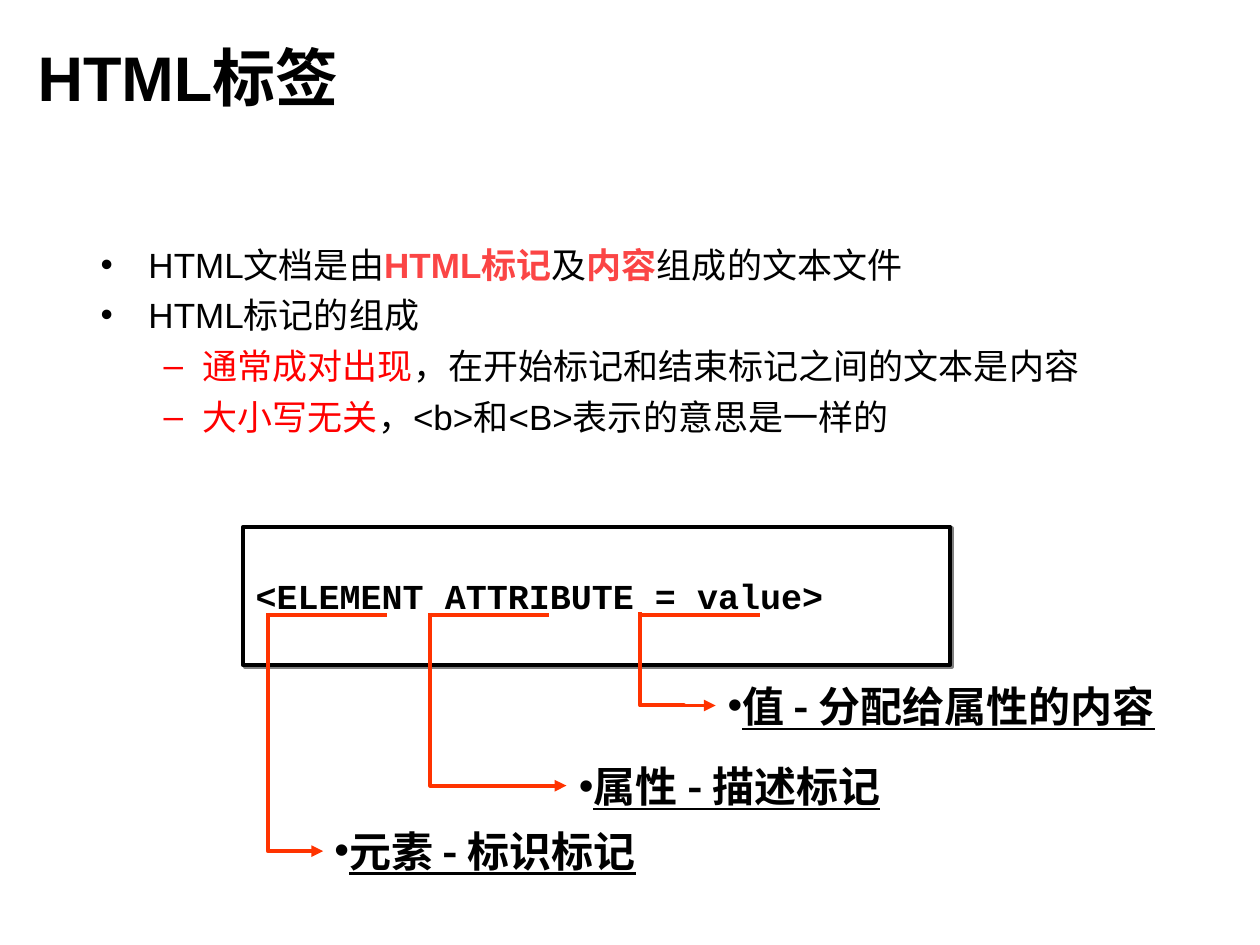
from lxml.etree import SubElement
from pptx import Presentation
from pptx.dml.color import RGBColor as RGB
from pptx.enum.shapes import MSO_CONNECTOR as CONN, MSO_SHAPE as SHAPE
from pptx.enum.text import MSO_ANCHOR as ANCHOR, PP_ALIGN as ALIGN
from pptx.oxml.ns import qn
from pptx.util import Inches, Pt

COLORS = {"black": "000000", "white": "FFFFFF", "red": "FF0000",
          "coral": "FB4545", "orange": "FF3300", "gray": "808080"}
COLS, ROWS = 100, 75
WIDTH, HEIGHT = Inches(10), Inches(7.5)
LINE_WIDTH = Pt(2.25)

TITLE = {"size": Pt(36), "bold": True, "name": "Arial"}
BODY = {"size": Pt(20), "bold": False, "name": "Arial"}
CODE = {"size": Pt(20), "bold": True, "name": "Courier New"}
LABEL = {"size": Pt(24), "bold": True, "underline": True,
         "name": "Noto Sans CJK JP"}

POINTS = [
    (0, [("HTML文档是由", "black"), ("HTML标记", "coral"), ("及", "black"),
         ("内容", "coral"), ("组成的文本文件", "black")]),
    (0, [("HTML标记的组成", "black")]),
    (1, [("通常成对出现", "red"),
         ("，在开始标记和结束标记之间的文本是内容", "black")]),
    (1, [("大小写无关", "red"), ("，<b>和<B>表示的意思是一样的", "black")]),
]
LEVELS = [("•", "black", 0.38, -0.38), ("–", "red", 0.81, -0.31)]

LABELS = [
    ("元素 - 标识标记", 24.7, 65, 27.6),
    ("属性 - 描述标记", 44.1, 59.9, 27.6),
    ("值 - 分配给属性的内容", 55.9, 53.5, 37.6),
]
UNDERLINES = [21.2, 34.1, 50.8]
ELBOWS = [
    (14, 55.9, 18.9, 4.4, (73500, 400)),
    (32.7, 50.1, 13.7, 10.8, (100100, 93700)),
    (50.1, 49.3, 7.4, 6, (99900, 58300)),
]


def grid(x, y, w, h):
    return (int(WIDTH * x / COLS), int(HEIGHT * y / ROWS),
            int(WIDTH * w / COLS), int(HEIGHT * h / ROWS))


def rgb(color):
    return RGB.from_string(COLORS[color])


def add_color(parent, color):
    fill = SubElement(parent, qn("a:solidFill"))
    return SubElement(fill, qn("a:srgbClr"), val=COLORS[color])


def add_run(p, text, color, fmt):
    r = p.add_run()
    r.text = text
    for key, value in fmt.items():
        setattr(r.font, key, value)
    r.font.color.rgb = rgb(color)
    SubElement(r.font._element, qn("a:ea"), typeface="Noto Sans CJK JP")


def add_bullet(p, char, color, left=0, indent=0):
    pPr = p._p.get_or_add_pPr()
    pPr.set("marL", str(Inches(left)))
    pPr.set("indent", str(Inches(indent)))
    clr = SubElement(pPr, qn("a:buClr"))
    SubElement(clr, qn("a:srgbClr"), val=COLORS[color])
    SubElement(pPr, qn("a:buFont"), typeface="Arial")
    SubElement(pPr, qn("a:buChar"), char=char)


def add_text(s, box, anchor=ANCHOR.TOP):
    tf = s.shapes.add_textbox(*grid(*box)).text_frame
    tf.word_wrap = True
    tf.vertical_anchor = anchor
    return tf


def add_body(s):
    tf = add_text(s, (7, 18.8, 87.5, 33.1))
    for i, (level, runs) in enumerate(POINTS):
        p = tf.add_paragraph() if i else tf.paragraphs[0]
        p.level = level
        p.space_before = Pt(5)
        add_bullet(p, *LEVELS[level])
        for text, color in runs:
            add_run(p, text, color, {**BODY, "bold": color == "coral"})


def add_label(s, text, x, y, w):
    p = add_text(s, (x, y, w, 5)).paragraphs[0]
    p.alignment = ALIGN.CENTER
    p.space_before = Pt(6)
    add_bullet(p, "•", "black")
    add_run(p, text, "black", LABEL)


def add_code_box(s):
    sp = s.shapes.add_shape(SHAPE.RECTANGLE, *grid(19.3, 41.8, 56.1, 11))
    sp.shadow.inherit = False
    sp.fill.solid()
    sp.fill.fore_color.rgb = rgb("white")
    sp.line.color.rgb = rgb("black")
    sp.line.width = LINE_WIDTH
    effects = sp._element.spPr.find(qn("a:effectLst"))
    shadow = SubElement(effects, qn("a:outerShdw"), dist=str(Pt(1.4)),
                        dir="2700000", algn="ctr", rotWithShape="0")
    SubElement(shadow, qn("a:srgbClr"), val=COLORS["gray"])
    tf = sp.text_frame
    tf.word_wrap = True
    tf.vertical_anchor = ANCHOR.MIDDLE
    p = tf.paragraphs[0]
    p.alignment = ALIGN.LEFT
    add_run(p, "<ELEMENT ATTRIBUTE = value>", "black", CODE)


def add_line(s, kind, box):
    x, y, w, h = grid(*box)
    c = s.shapes.add_connector(kind, x, y, x + w, y + h)
    c.line.color.rgb = rgb("orange")
    c.line.width = LINE_WIDTH
    SubElement(c._element.spPr, qn("a:effectLst"))
    return c


def add_elbow(s, x, y, w, h, adjustments):
    c = add_line(s, CONN.ELBOW, (x, y, w, h))
    spPr = c._element.spPr
    xfrm = spPr.find(qn("a:xfrm"))
    xfrm.set("rot", str(270 * 60000))
    xfrm.set("flipH", "1")
    geom = spPr.find(qn("a:prstGeom"))
    geom.set("prst", "bentConnector4")
    guides = geom.find(qn("a:avLst"))
    for i, value in enumerate(adjustments, 1):
        SubElement(guides, qn("a:gd"), name=f"adj{i}", fmla=f"val {value}")
    SubElement(spPr.find(qn("a:ln")), qn("a:tailEnd"), type="triangle")


def main():
    prs = Presentation()
    prs.slide_width, prs.slide_height = WIDTH, HEIGHT
    s = prs.slides.add_slide(prs.slide_layouts[6])
    add_body(s)
    for label in LABELS:
        add_label(s, *label)
    add_code_box(s)
    for x in UNDERLINES:
        add_line(s, CONN.STRAIGHT, (x, 48.8, 9.5, 0))
    for elbow in ELBOWS:
        add_elbow(s, *elbow)
    title = add_text(s, (2, 2.1, 90, 7.9), ANCHOR.MIDDLE)
    add_run(title.paragraphs[0], "HTML标签", "black", TITLE)
    prs.save("out.pptx")


if __name__ == "__main__":
    main()
